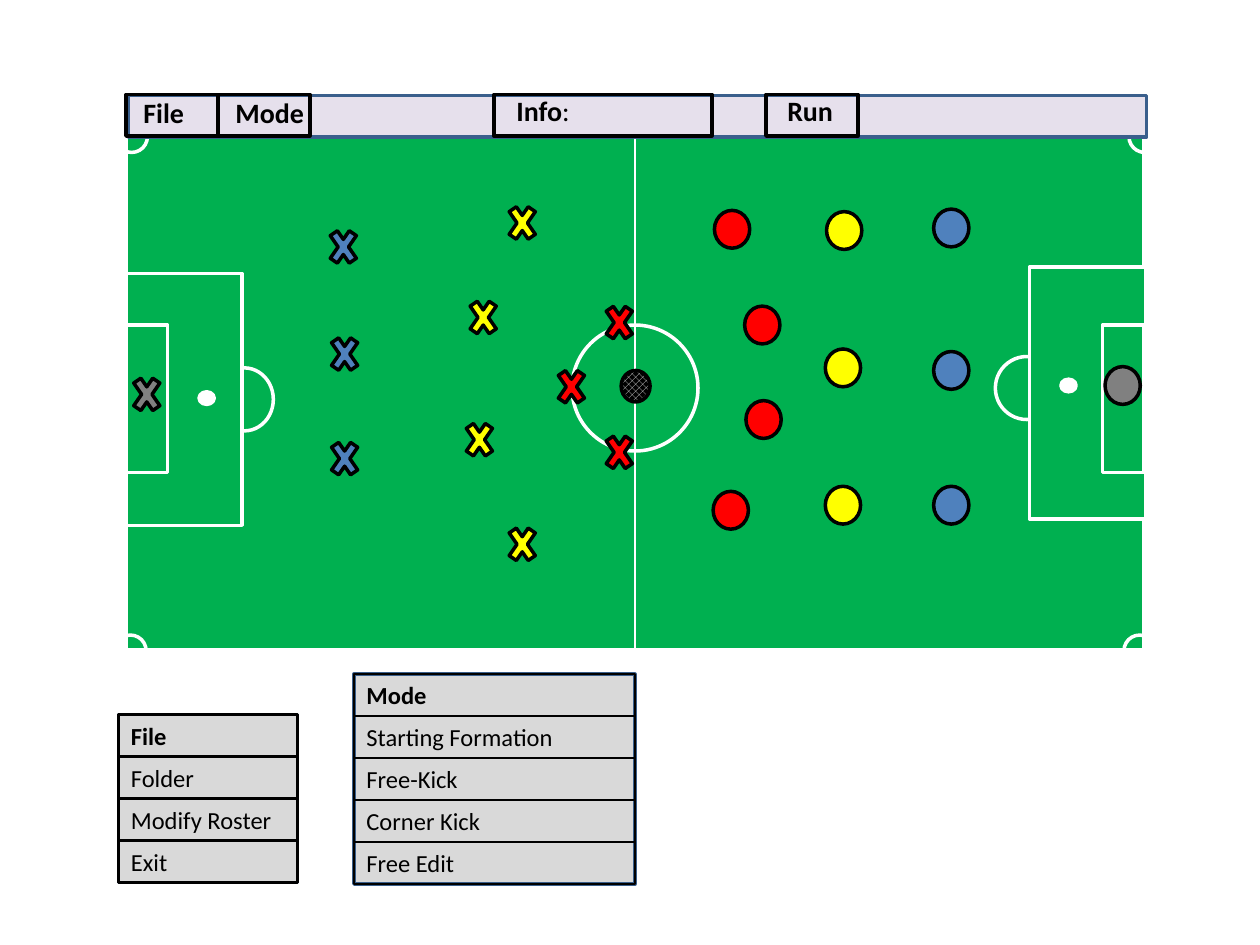
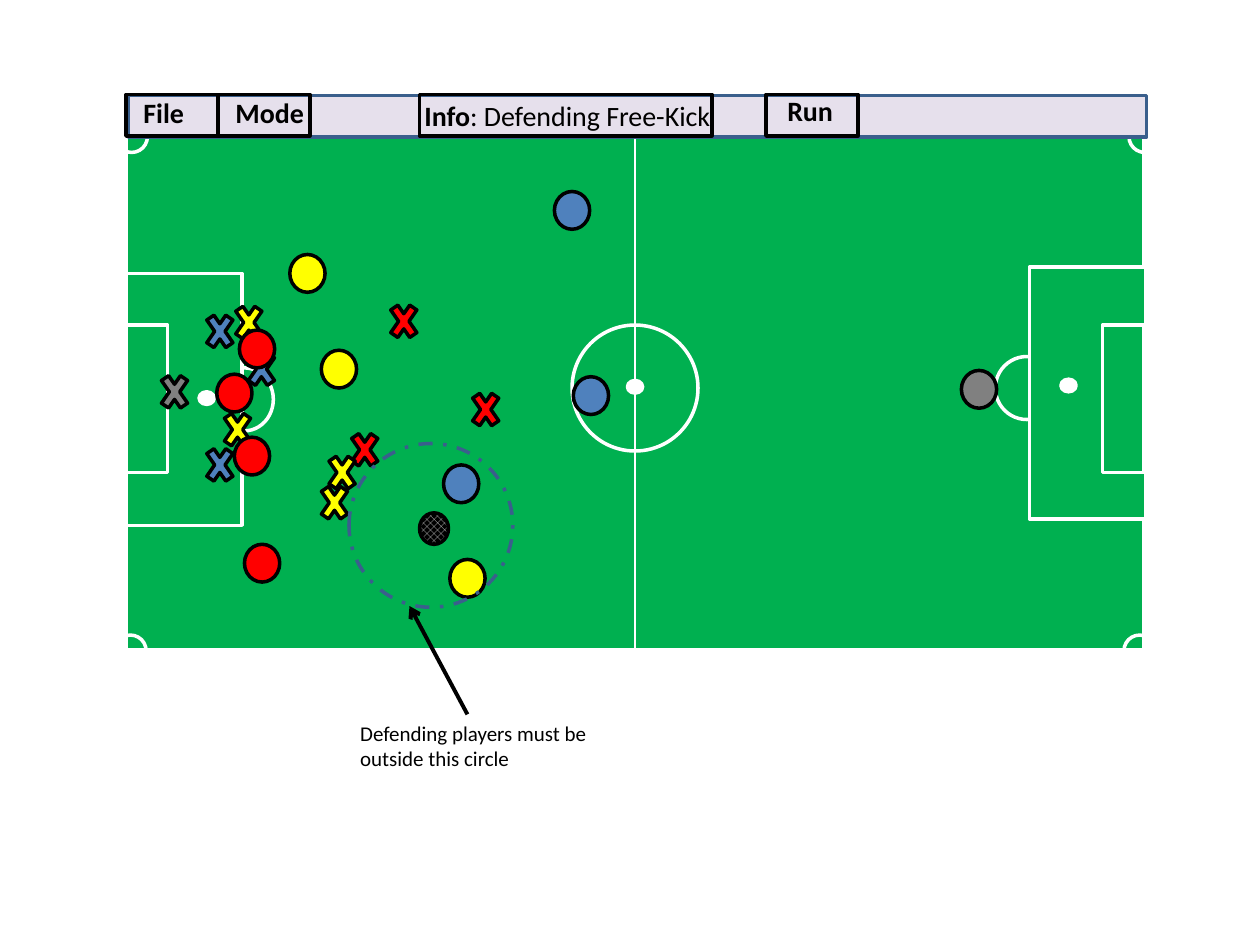
"""Builds two screens of a soccer formation planner: the kick-off line-up and a defended free kick."""
from dataclasses import dataclass

from lxml import etree
from pptx import Presentation
from pptx.dml.color import RGBColor
from pptx.enum.dml import MSO_LINE, MSO_PATTERN
from pptx.enum.shapes import MSO_CONNECTOR, MSO_SHAPE
from pptx.enum.text import MSO_ANCHOR, PP_ALIGN
from pptx.oxml.ns import qn
from pptx.util import Inches, Pt

RECT, OVAL, CROSS = MSO_SHAPE.RECTANGLE, MSO_SHAPE.OVAL, MSO_SHAPE.MATH_MULTIPLY
STRAIGHT = MSO_CONNECTOR.STRAIGHT
LEFT, MIDDLE = PP_ALIGN.LEFT, MSO_ANCHOR.MIDDLE
DIAMONDS, DASH_DOT = MSO_PATTERN.SOLID_DIAMOND, MSO_LINE.DASH_DOT


@dataclass(frozen=True)
class Theme:
    """Colours, font, type sizes and line widths."""
    font: str = "Calibri"
    ink: str = "000000"
    chalk: str = "FFFFFF"
    grass: str = "00B050"
    bar: str = "E6E0EC"
    menu: str = "D9D9D9"
    edge: str = "3A5F8C"
    ball: str = "F2F2F2"
    forward: str = "FF0000"
    midfielder: str = "FFFF00"
    defender: str = "4F81BD"
    keeper: str = "808080"
    button_size: float = 16
    menu_size: float = 14
    note_size: float = 12
    outline: float = 2
    thin: float = 0.75
    row_line: float = 1.5
    arrow: float = 2.25


THEME = Theme()

SLIDE = (10, 7.5)
PITCH = (1, 1.08, 8.08, 4.08)
SPOT, CORNER = (0.12, 0.1), (0.25, 0.25)
MARKINGS = [
    (OVAL, (4.54, 2.58, 1, 1), None),
    (OVAL, (4.98, 3.02, *SPOT), THEME.chalk),
    (OVAL, (1.71, 2.92, 0.46, 0.5), None),
    (RECT, (1, 2.17, 0.92, 2), THEME.grass),
    (RECT, (1, 2.58, 0.33, 1.17), THEME.grass),
    (OVAL, (1.58, 3.11, *SPOT), THEME.chalk),
    (OVAL, (7.9, 2.83, 0.5, 0.5), None),
    (RECT, (8.17, 2.12, 0.92, 2), THEME.grass),
    (RECT, (8.75, 2.58, 0.33, 1.17), THEME.grass),
    (OVAL, (8.42, 3.01, *SPOT), THEME.chalk),
    (OVAL, (8.96, 0.96, *CORNER), None),
    (OVAL, (0.91, 5.04, *CORNER), None),
    (OVAL, (8.92, 5.04, *CORNER), None),
    (OVAL, (0.92, 0.96, *CORNER), None),
]

TOOLBAR = (1.02, 0.76, 8.08, 0.33)
BUTTON_TOP, BUTTON_WIDTH, BUTTON_HEIGHT = 0.75, 0.73, 0.33
LABEL_HEIGHT = 0.37
BUTTONS = [
    (1, BUTTON_WIDTH, (1.04, 0.71, 0.65), [("File", True)]),
    (1.73, BUTTON_WIDTH, (1.77, 0.71, 0.82), [("Mode", True)]),
    (6.08, BUTTON_WIDTH, (6.15, 0.69, 0.82), [("Run", True)]),
]

MENU_PITCH = 1 / 3
MENUS = [
    (0.94, 5.67, 1.42, ["File", "Folder", "Modify Roster", "Exit"]),
    (2.81, 5.35, 2.23, ["Mode", "Starting Formation", "Free-Kick", "Corner Kick", "Free Edit"]),
]

CROSS_SIZE, DISC_SIZE, BALL_SIZE = (0.29, 0.42), (0.28, 0.3), (0.23, 0.25)
KICK_OFF = {
    "info": (3.92, 1.73, (4, 0.69, 0.82), [("Info", True), (":", False)]),
    "crosses": {
        "forward": [(4.77, 2.35), (4.77, 3.38), (4.39, 2.86)],
        "midfielder": [(4, 1.56), (3.66, 3.28), (3.69, 2.31), (4, 4.11)],
        "defender": [(2.59, 2.6), (2.59, 3.43), (2.58, 1.75)],
        "keeper": [(1.02, 2.92)],
    },
    "discs": {
        "midfielder": [(6.56, 1.68), (6.55, 2.77), (6.55, 3.86)],
        "forward": [(5.67, 1.67), (5.66, 3.9), (5.91, 2.43), (5.92, 3.18)],
        "defender": [(7.41, 3.86), (7.41, 2.79), (7.41, 1.66)],
        "keeper": [(8.77, 2.91)],
    },
    "ball": (4.93, 2.94),
}
FREE_KICK = {
    "info": (3.33, 2.32, (3.27, 0.73, 2.55), [("Info", True), (": Defending Free-Kick", False)]),
    "crosses": {
        "forward": [(3.06, 2.34), (2.75, 3.36), (3.71, 3.04)],
        "midfielder": [(1.83, 2.35), (2.57, 3.54), (1.74, 3.2), (2.51, 3.78)],
        "defender": [(1.93, 2.72), (1.6, 3.48), (1.6, 2.42)],
        "keeper": [(1.24, 2.9)],
    },
    "discs": {
        "midfielder": [(2.3, 2.02), (2.55, 2.78), (3.57, 4.44)],
        "forward": [(1.9, 2.62), (1.86, 3.47), (1.72, 2.97), (1.94, 4.32)],
        "defender": [(3.52, 3.69), (4.55, 2.99), (4.4, 1.52)],
        "keeper": [(7.63, 2.94)],
    },
    "ball": (3.33, 4.07),
}
NOTE = ((2.76, 5.67, 2.22, 0.5), [("Defending players must be outside this circle", False)])
NOTE_ARROW = ((3.71, 5.67), (3.25, 4.81))
EXCLUSION_CIRCLE = (2.77, 3.52, 1.3, 1.3)


def rgb(colour):
    return RGBColor.from_string(colour)


def inches(lengths):
    return [Inches(length) for length in lengths]


def add_figure(slide, preset, box, fill=None, line=THEME.ink, width=THEME.outline):
    figure = slide.shapes.add_shape(preset, *inches(box))
    figure.shadow.inherit = False
    if fill:
        figure.fill.solid()
        figure.fill.fore_color.rgb = rgb(fill)
    else:
        figure.fill.background()
    figure.line.color.rgb = rgb(line)
    figure.line.width = Pt(width)
    return figure


def add_line(slide, start, end, colour, width):
    line = slide.shapes.add_connector(STRAIGHT, *inches(start + end))
    line.line.color.rgb = rgb(colour)
    line.line.width = Pt(width)
    etree.SubElement(line._element.spPr, qn("a:effectLst"))
    return line


def write(frame, runs, size):
    frame.word_wrap = True
    paragraph = frame.paragraphs[0]
    paragraph.alignment = LEFT
    for words, bold in runs:
        run = paragraph.add_run()
        run.text = words
        run.font.name = THEME.font
        run.font.size = Pt(size)
        run.font.bold = bold
        run.font.color.rgb = rgb(THEME.ink)


def add_label(slide, box, runs, size):
    write(slide.shapes.add_textbox(*inches(box)).text_frame, runs, size)


def draw_pitch(slide):
    left, top, width, height = PITCH
    middle = left + width / 2
    add_figure(slide, RECT, PITCH, THEME.grass, THEME.chalk)
    add_line(slide, (middle, top), (middle, top + height), THEME.chalk, THEME.thin)
    for preset, box, fill in MARKINGS:
        add_figure(slide, preset, box, fill, THEME.chalk)


def draw_toolbar(slide, info):
    add_figure(slide, RECT, TOOLBAR, THEME.bar, THEME.edge)
    for left, width, label, runs in BUTTONS + [info]:
        add_label(slide, (*label, LABEL_HEIGHT), runs, THEME.button_size)
        add_figure(slide, RECT, (left, BUTTON_TOP, width, BUTTON_HEIGHT))


def draw_players(slide, play):
    for team, preset, size in (("crosses", CROSS, CROSS_SIZE), ("discs", OVAL, DISC_SIZE)):
        for role, spots in play[team].items():
            for spot in spots:
                add_figure(slide, preset, spot + size, getattr(THEME, role))
    ball = add_figure(slide, OVAL, play["ball"] + BALL_SIZE)
    ball.fill.patterned()
    ball.fill.pattern = DIAMONDS
    ball.fill.fore_color.rgb = rgb(THEME.ball)
    ball.fill.back_color.rgb = rgb(THEME.ink)


def draw_menu(slide, left, top, width, entries):
    add_figure(slide, RECT, (left, top, width, MENU_PITCH * len(entries)), THEME.menu, THEME.edge)
    for row, entry in enumerate(entries):
        box = (left, top + row * MENU_PITCH, width, MENU_PITCH)
        frame = add_figure(slide, RECT, box, width=THEME.row_line).text_frame
        frame.vertical_anchor = MIDDLE
        write(frame, [(entry, row == 0)], THEME.menu_size)


def draw_exclusion_note(slide):
    box, runs = NOTE
    add_label(slide, box, runs, THEME.note_size)
    arrow = add_line(slide, *NOTE_ARROW, THEME.ink, THEME.arrow)
    etree.SubElement(arrow.line._get_or_add_ln(), qn("a:tailEnd"), type="arrow")
    circle = add_figure(slide, OVAL, EXCLUSION_CIRCLE, line=THEME.edge)
    circle.line.dash_style = DASH_DOT


def add_screen(deck, play):
    slide = deck.slides.add_slide(deck.slide_layouts.get_by_name("Blank"))
    draw_pitch(slide)
    draw_toolbar(slide, play["info"])
    draw_players(slide, play)
    return slide


def main():
    deck = Presentation()
    deck.slide_width, deck.slide_height = inches(SLIDE)
    kick_off = add_screen(deck, KICK_OFF)
    for menu in MENUS:
        draw_menu(kick_off, *menu)
    draw_exclusion_note(add_screen(deck, FREE_KICK))
    deck.save("out.pptx")


if __name__ == "__main__":
    main()
